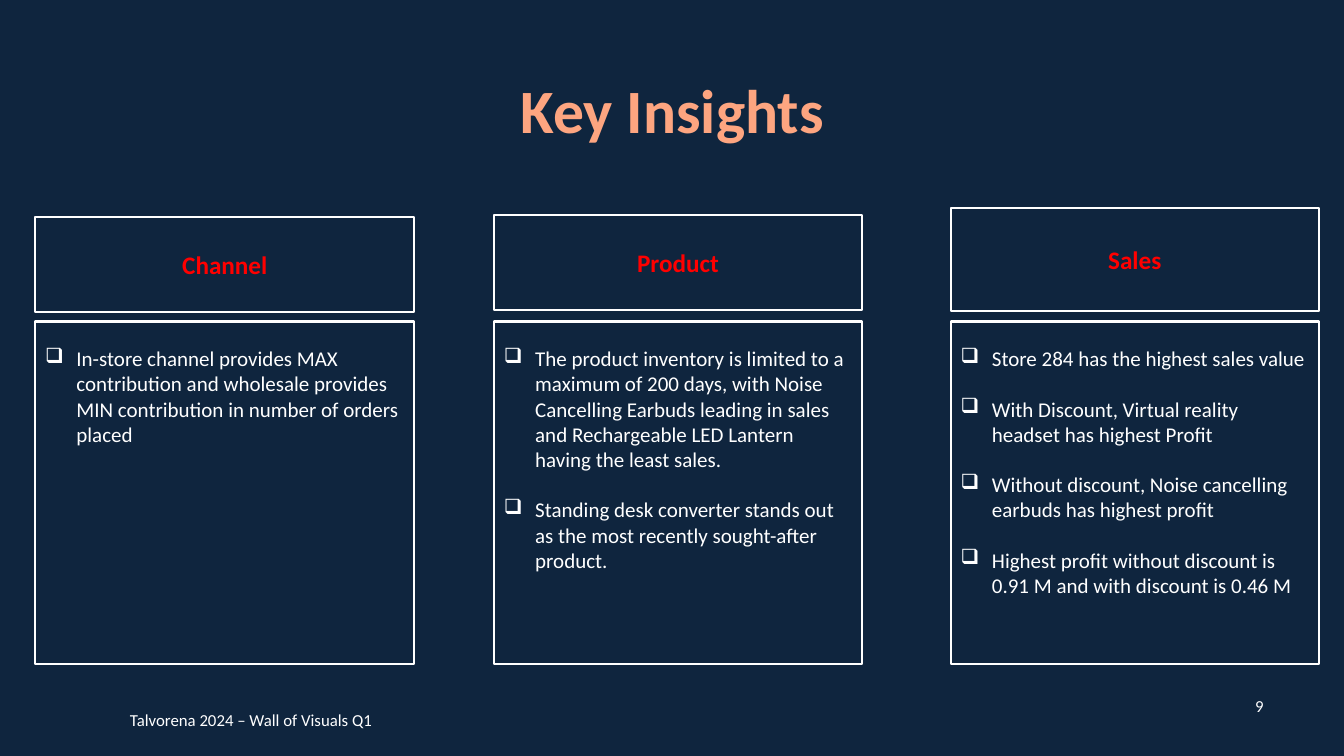
from dataclasses import dataclass

from lxml import etree
from pptx import Presentation
from pptx.dml.color import RGBColor
from pptx.enum import shapes, text
from pptx.oxml import ns
from pptx.util import Inches, Pt


@dataclass(frozen=True)
class Theme:
    """Colours, font and type sizes of the slide."""
    background: str = "0F253E"
    title: str = "FDA580"
    heading: str = "FF0000"
    plain: str = "FFFFFF"
    font: str = "Calibri"
    title_size: float = 44
    heading_size: float = 18
    body_size: float = 15
    footer_size: float = 12
    outline: float = 1.5


THEME = Theme()
BODY_TOP, BODY_HEIGHT = 3.19, 3.4
BULLET, BULLET_INDENT = "❑", 0.31

COLUMNS = [
    ("Channel", (0.35, 2.15, 3.76, 0.95), [
        "In-store channel provides MAX contribution and wholesale provides "
        "MIN contribution in number of orders placed",
    ]),
    ("Product", (4.9, 2.13, 3.65, 0.95), [
        "The product inventory is limited to a maximum of 200 days, with Noise "
        "Cancelling Earbuds leading in sales and Rechargeable LED Lantern "
        "having the least sales.",
        "Standing desk converter stands out as the most recently sought-after product.",
    ]),
    ("Sales", (9.43, 2.06, 3.65, 1.03), [
        "Store 284 has the highest sales value",
        "With Discount, Virtual reality headset has highest Profit",
        "Without discount, Noise cancelling earbuds has highest profit",
        "Highest profit without discount is 0.91 M and with discount is 0.46 M",
    ]),
]


def set_all(target, values):
    """Set every attribute named in a dict of format values."""
    for name, value in values.items():
        setattr(target, name, value)


def write_paragraph(paragraph, content, size, colour, bold=False, **layout):
    """Write one formatted run and apply the paragraph layout."""
    run = paragraph.add_run()
    run.text = content
    set_all(run.font, {"size": Pt(size), "name": THEME.font, "bold": bold})
    run.font.color.rgb = RGBColor.from_string(colour)
    set_all(paragraph, layout)


def add_bullet(paragraph):
    """Give a paragraph a hanging checkbox bullet."""
    properties = paragraph._p.get_or_add_pPr()
    indent = Inches(BULLET_INDENT)
    properties.set("marL", str(indent))
    properties.set("indent", str(-indent))
    etree.SubElement(properties, ns.qn("a:buChar")).set("char", BULLET)


def add_label(slide, box, content, size, colour, bold=False, **layout):
    """Place a vertically centred line of text in a box."""
    frame = slide.shapes.add_textbox(*map(Inches, box)).text_frame
    set_all(frame, {"word_wrap": True, "vertical_anchor": text.MSO_ANCHOR.MIDDLE})
    write_paragraph(frame.paragraphs[0], content, size, colour, bold, **layout)


def add_panel(slide, box, **frame_values):
    """Place an outlined rectangle and return its text frame."""
    shape = slide.shapes.add_shape(shapes.MSO_SHAPE.RECTANGLE, *map(Inches, box))
    shape.shadow.inherit = False
    shape.fill.background()
    shape.line.color.rgb = RGBColor.from_string(THEME.plain)
    shape.line.width = Pt(THEME.outline)
    set_all(shape.text_frame, {"word_wrap": True, **frame_values})
    return shape.text_frame


def add_column(slide, heading, heading_box, insights):
    """Place a heading panel with its panel of bulleted insights below."""
    left, _, width, _ = heading_box
    frame = add_panel(slide, heading_box, vertical_anchor=text.MSO_ANCHOR.MIDDLE)
    write_paragraph(frame.paragraphs[0], heading, THEME.heading_size, THEME.heading,
                    True, alignment=text.PP_ALIGN.CENTER, space_before=Pt(10))
    frame = add_panel(slide, (left, BODY_TOP, width, BODY_HEIGHT),
                      vertical_anchor=text.MSO_ANCHOR.TOP, margin_top=Inches(0.24))
    for index, insight in enumerate(insights):
        paragraph = frame.add_paragraph() if index else frame.paragraphs[0]
        write_paragraph(paragraph, insight, THEME.body_size, THEME.plain,
                        alignment=text.PP_ALIGN.LEFT,
                        space_before=Pt(18 if index else 0))
        add_bullet(paragraph)


def add_footer(slide):
    """Place the footer line and the slide number."""
    for box, content, alignment in (
        ((1.19, 6.94, 4.5, 0.4), "Talvorena 2024 – Wall of Visuals Q1", text.PP_ALIGN.LEFT),
        ((12.24, 6.8, 0.5, 0.4), "9", text.PP_ALIGN.CENTER),
    ):
        add_label(slide, box, content, THEME.footer_size, THEME.plain, alignment=alignment)


def main():
    """Build the insights slide and save it."""
    presentation = Presentation()
    set_all(presentation, {"slide_width": Inches(13.33), "slide_height": Inches(7.5)})
    slide = presentation.slides.add_slide(presentation.slide_layouts[6])
    slide.background.fill.solid()
    slide.background.fill.fore_color.rgb = RGBColor.from_string(THEME.background)
    add_label(slide, (0.92, 0.4, 11.5, 1.45), "Key Insights", THEME.title_size,
              THEME.title, True, alignment=text.PP_ALIGN.CENTER, line_spacing=0.9)
    for heading, heading_box, insights in COLUMNS:
        add_column(slide, heading, heading_box, insights)
    add_footer(slide)
    presentation.save("out.pptx")


if __name__ == "__main__":
    main()
